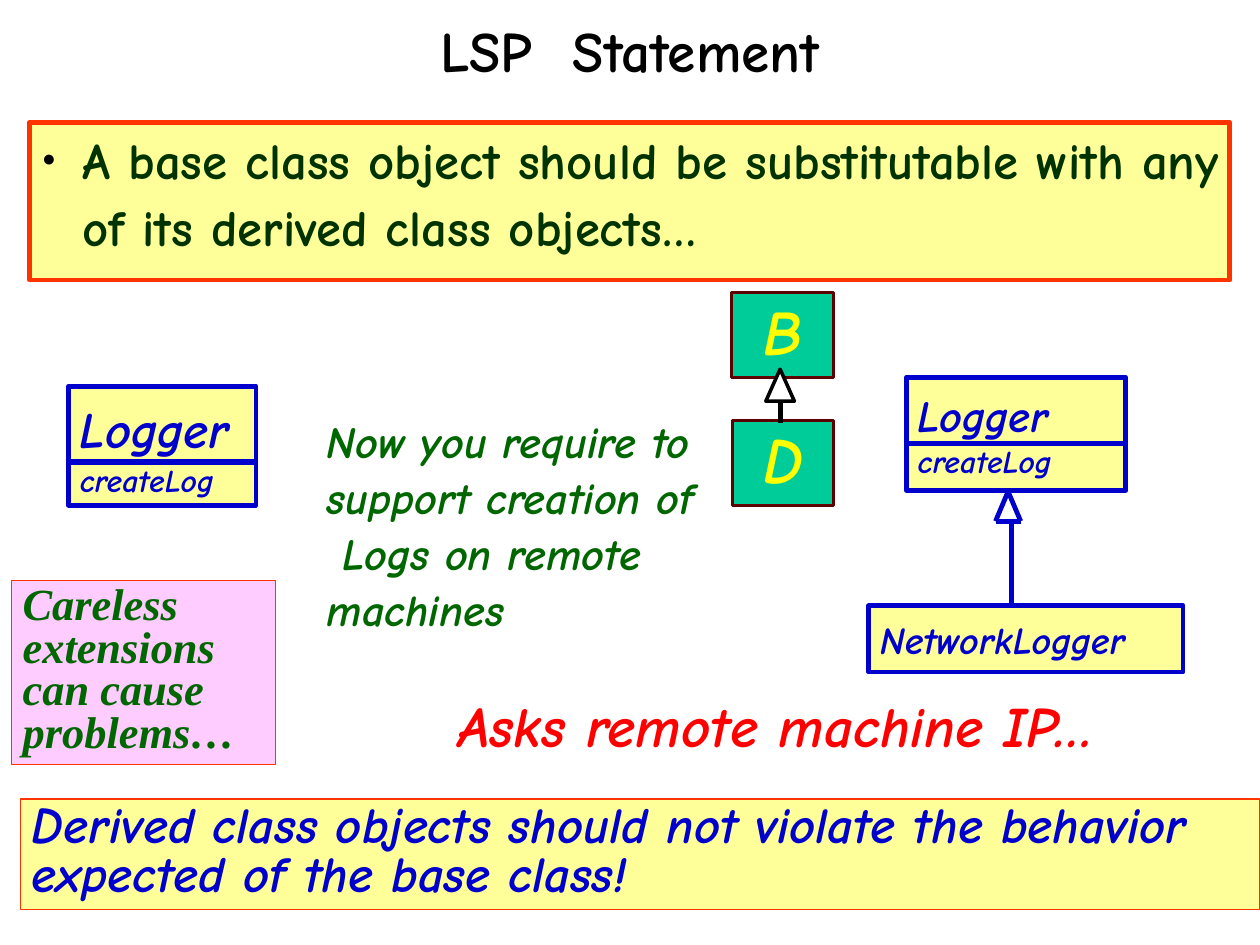
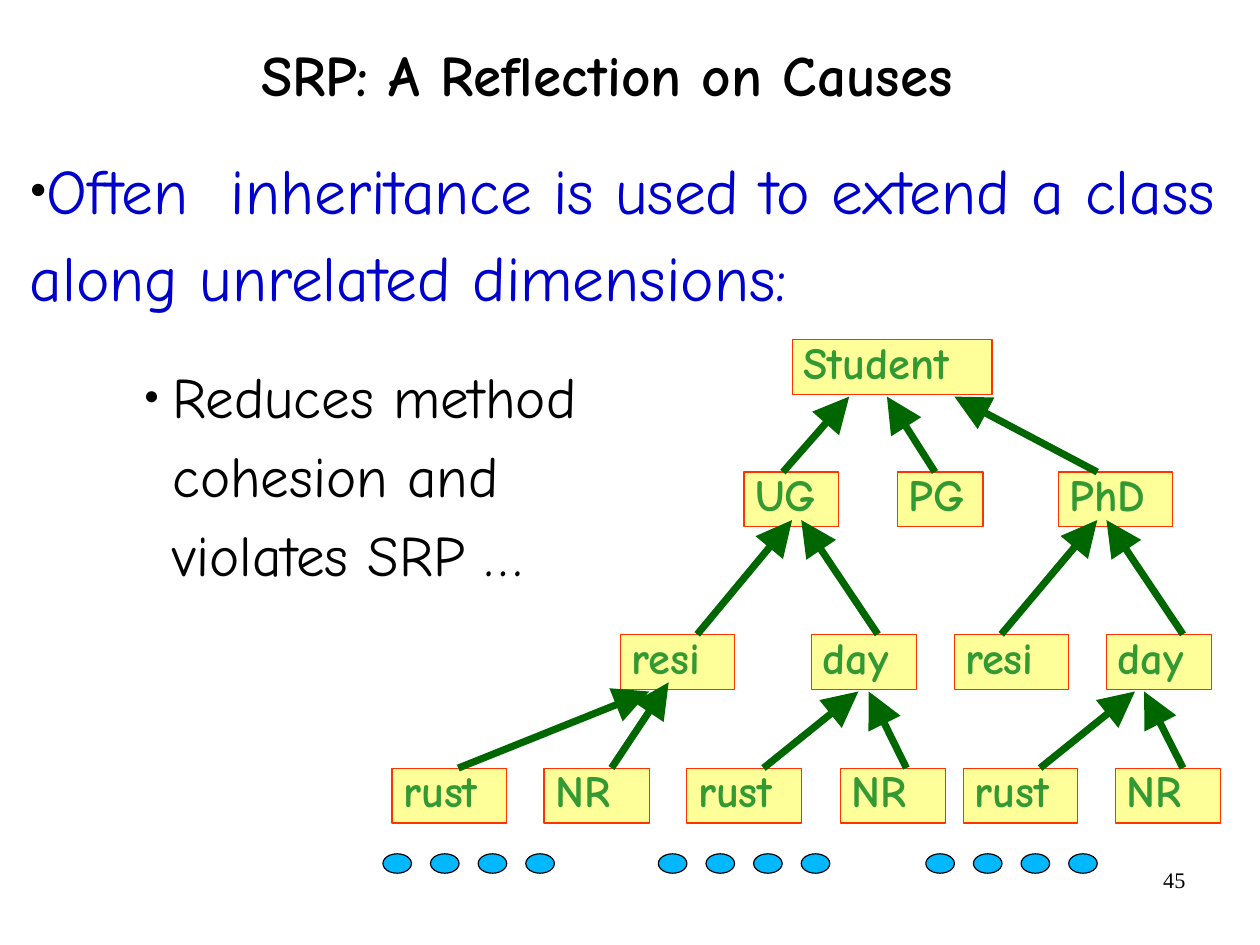
"""Build two slides on the LSP statement and the causes of SRP violations."""
from lxml import etree
from pptx import Presentation
from pptx import util as u
from pptx.dml.color import RGBColor
from pptx.enum import shapes, text
from pptx.oxml import ns

colour = RGBColor.from_string
FONT, SERIF = "Comic Neue", "Times New Roman"
BLACK, BLUE, GREEN, RED = "000000", "0000CC", "006600", "FF3300"
YELLOW, PALE = "FFFF00", "FFFF99"
LEFT, CENTER, RIGHT = text.PP_ALIGN.LEFT, text.PP_ALIGN.CENTER, text.PP_ALIGN.RIGHT
TOP, MIDDLE = text.MSO_ANCHOR.TOP, text.MSO_ANCHOR.MIDDLE
SHAPE = shapes.MSO_SHAPE
CM_PER_INCH = 2.54


def add_box(page, at, words, size=28, ink=BLACK, fill=None, edge=RED, weight=0.75,
            spacing=0.8, bold=True, italic=False, font=FONT, align=LEFT,
            anchor=TOP, inset=(0.1, 0.05), kind=SHAPE.RECTANGLE):
    place = [u.Inches(value) for value in at]
    if fill:
        box = page.shapes.add_shape(kind, *place)
        box.shadow.inherit = False
        box.fill.solid()
        box.fill.fore_color.rgb = colour(fill)
        box.line.color.rgb = colour(edge)
        box.line.width = u.Pt(weight)
    else:
        box = page.shapes.add_textbox(*place)
    frame = box.text_frame
    frame.word_wrap = True
    frame.vertical_anchor = anchor
    frame.margin_left = frame.margin_right = u.Inches(inset[0])
    frame.margin_top = frame.margin_bottom = u.Inches(inset[1])
    frame.text = words
    for para in frame.paragraphs:
        para.alignment = align
        para.line_spacing = spacing
        for span in para.runs:
            span.font.name = font
            span.font.size = u.Pt(size)
            span.font.bold = bold
            span.font.italic = italic
            span.font.color.rgb = colour(ink)
    return box


def add_line(page, start, end, ink, weight, head=None):
    line = page.shapes.add_connector(
        shapes.MSO_CONNECTOR.STRAIGHT, *[u.Inches(value) for value in (*start, *end)])
    line.line.color.rgb = colour(ink)
    line.line.width = u.Pt(weight)
    if head:
        etree.SubElement(line.line._get_or_add_ln(), ns.qn("a:tailEnd"),
                         type="triangle", w=head, len=head)
    etree.SubElement(line._element.spPr, ns.qn("a:effectLst"))


deck = Presentation()
deck.slide_width = u.Inches(28 / CM_PER_INCH)
deck.slide_height = u.Inches(21 / CM_PER_INCH)
lsp_page, srp_page = [deck.slides.add_slide(deck.slide_layouts[6]) for _ in range(2)]

for page, left, top, title in [(lsp_page, 0.81, -0.21, "LSP  Statement"),
                               (srp_page, 0.61, 0, "SRP: A Reflection on Causes")]:
    add_box(page, (left, top, 9.4, 1.37), title, 36, spacing=0.88,
            align=CENTER, anchor=MIDDLE, inset=(0, 0))

statement = add_box(
    lsp_page, (0.26, 1.07, 10.5, 1.38),
    "A base class object should be substitutable with any of its derived class objects…",
    32, "003300", PALE, weight=3, spacing=1.1, inset=(0, 0))
causes = add_box(
    srp_page, (0.26, 1.22, 10.76, 6.58),
    "Often  inheritance is used to extend a class along unrelated dimensions:\n"
    "Reduces method\vcohesion and\vviolates SRP …",
    40, BLUE, spacing=1.15, bold=False, inset=(0, 0))
extension, effect = causes.text_frame.paragraphs
effect.space_before = u.Pt(7)
for span in effect.runs:
    span.font.size = u.Pt(36)
    span.font.color.rgb = colour(BLACK)

for para, margin, indent, after in [(statement.text_frame.paragraphs[0], 0.46, -0.35, 6),
                                    (extension, 0, -0.35, 16),
                                    (effect, 1.25, -0.25, 16)]:
    para.space_after = u.Pt(after)
    props = para._p.get_or_add_pPr()
    props.set("marL", str(u.Inches(margin)))
    props.set("indent", str(u.Inches(indent)))
    bullet_colour = etree.SubElement(props, ns.qn("a:buClr"))
    etree.SubElement(bullet_colour, ns.qn("a:srgbClr"), val=BLACK)
    etree.SubElement(props, ns.qn("a:buSzPct"), val="45000")
    etree.SubElement(props, ns.qn("a:buFont"), typeface="Arial")
    etree.SubElement(props, ns.qn("a:buChar"), char="●")

add_box(lsp_page, (0.18, 6.99, 10.84, 0.97),
        "Derived class objects should not violate the behavior expected of the base class!",
        32, BLUE, PALE, italic=True)
for at, name, size, spacing in [((0.6, 3.38, 1.64, 0.66), "Logger", 32, 1.1),
                                ((0.6, 4.05, 1.64, 0.37), "createLog", 20, 0.8),
                                ((7.93, 3.3, 1.92, 0.66), "Logger", 28, 1.1),
                                ((7.93, 3.88, 1.92, 0.41), "createLog", 20, 0.8),
                                ((7.6, 5.3, 2.75, 0.58), "NetworkLogger", 24, 1.1)]:
    add_box(lsp_page, at, name, size, BLUE, PALE, BLUE, 3, spacing, italic=True)

tip, right_corner, left_corner = (8.82, 4.3), (8.93, 4.56), (8.71, 4.56)
for start, end in [(tip, right_corner), (tip, left_corner), (right_corner, left_corner),
                   ((8.85, 4.55), (8.85, 5.3))]:
    add_line(lsp_page, start, end, BLUE, 3)

add_box(lsp_page, (2.76, 3.55, 3.5, 2.55),
        "Now you require to support creation of  Logs on remote machines",
        28, GREEN, spacing=1.05, italic=True)
add_box(lsp_page, (3.91, 6.11, 7.11, 0.59), "Asks remote machine IP…", 36, "FF0000", italic=True)
add_box(lsp_page, (0.1, 5.08, 2.31, 1.61), "Careless extensions can cause problems…",
        28, GREEN, "FFCCFF", italic=True, font=SERIF)

for name, left, top, width in [("B", 6.4, 2.56, 0.89), ("D", 6.41, 3.68, 0.88)]:
    add_box(lsp_page, (left, top, width, 0.74), name, 40, YELLOW, "00CC99", "5C0000", 2, 0.9,
            italic=True, align=CENTER, anchor=MIDDLE, inset=(0.11, 0.06))
add_line(lsp_page, (6.83, 3.7), (6.83, 3.3), BLACK, 3, head="med")
add_box(lsp_page, (6.7, 3.23, 0.25, 0.28), "", fill="FFFFFF", edge=BLACK, weight=2.25,
        kind=SHAPE.ISOSCELES_TRIANGLE)

add_box(srp_page, (7.9, 7.53, 2.57, 0.57), "45", 14, spacing=1, bold=False,
        font=SERIF, align=RIGHT)

node_style = {"ink": "339933", "fill": PALE}
node_widths = {"UG": 0.83, "PG": 0.75, "PhD": 1, "resi": 1, "day": 0.92, "rust": 1, "NR": 0.92}
add_box(srp_page, (6.93, 2.97, 1.75, 0.48), "Student", **node_style)
levels = [
    (4.13, [("UG", 6.51, 6.85, (7.43, 3.47)), ("PG", 7.85, 8.18, (7.76, 3.47)),
            ("PhD", 9.26, 9.6, (8.35, 3.47))]),
    (5.55, [("resi", 5.43, 6.1, (6.93, 4.55)), ("day", 7.1, 7.68, (7.01, 4.55)),
            ("resi", 8.35, 8.76, (9.6, 4.55)), ("day", 9.68, 10.35, (9.68, 4.55))]),
    (6.72, [("rust", 3.43, 4.01, (5.68, 6.05)), ("NR", 4.76, 5.35, (5.85, 5.97)),
            ("rust", 6.01, 6.68, (7.51, 6.05)), ("NR", 7.35, 7.93, (7.6, 6.05)),
            ("rust", 8.43, 9.1, (9.93, 6.05)), ("NR", 9.76, 10.35, (10.01, 6.05))]),
]
for top, nodes in levels:
    for name, left, arrow_left, parent in nodes:
        add_box(srp_page, (left, top, node_widths[name], 0.48), name, **node_style)
        add_line(srp_page, (arrow_left, top), parent, GREEN, 4.5, head="lg")

dot_step = 1.25 / 3
for left in (3.35, 5.76, 8.1):
    for index in range(4):
        add_box(srp_page, (left + dot_step * index, 7.47, 0.25, 0.17), "",
                fill="00B8FF", edge=BLACK, kind=SHAPE.OVAL)

deck.save("out.pptx")
